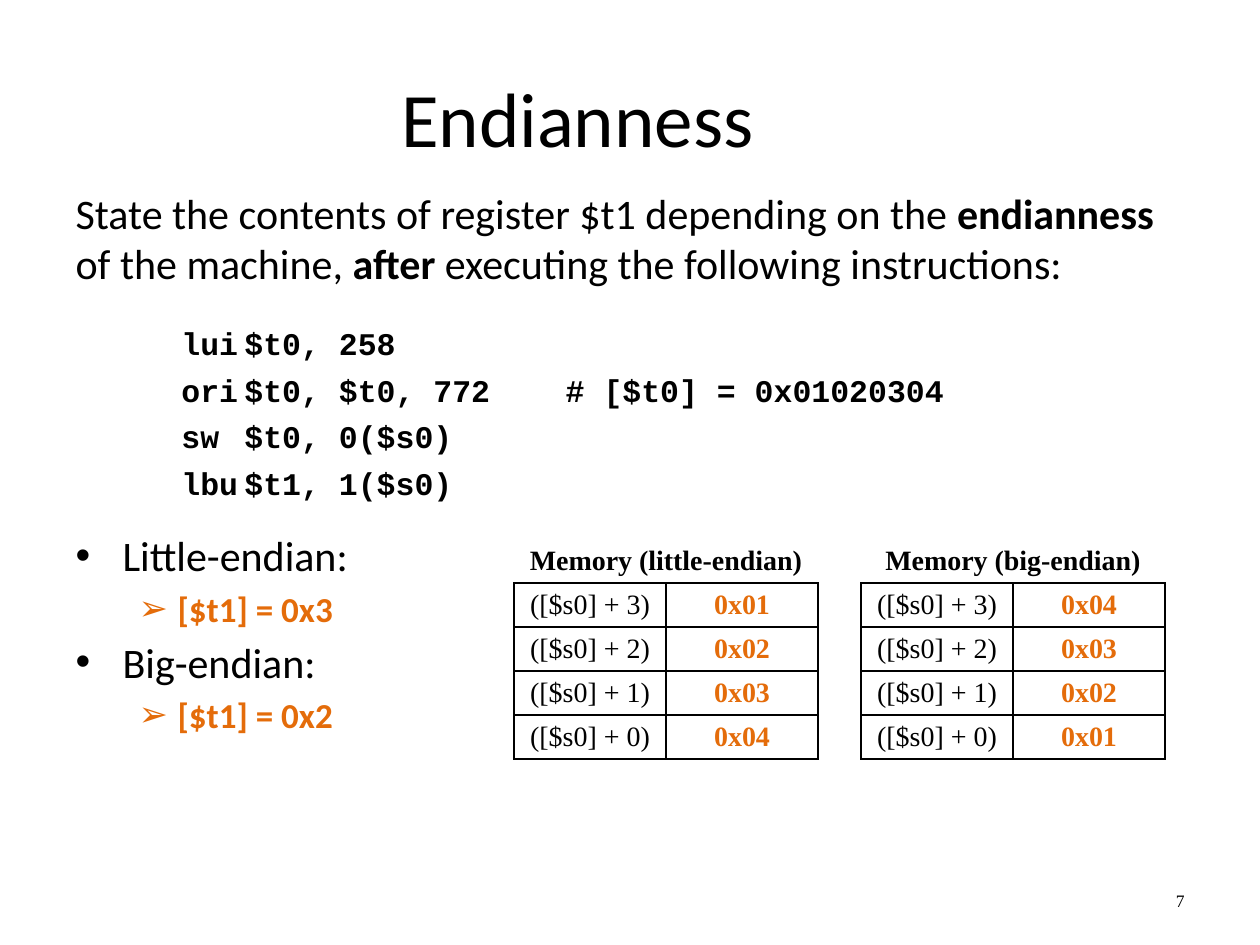
from dataclasses import dataclass

from lxml import etree
from pptx import Presentation
from pptx.dml.color import RGBColor
from pptx.enum.text import MSO_ANCHOR, MSO_AUTO_SIZE, PP_ALIGN
from pptx.oxml.ns import qn
from pptx.util import Emu, Pt

CENTER, LEFT, RIGHT = PP_ALIGN.CENTER, PP_ALIGN.LEFT, PP_ALIGN.RIGHT
MIDDLE, TOP = MSO_ANCHOR.MIDDLE, MSO_ANCHOR.TOP
NO_AUTOFIT = MSO_AUTO_SIZE.NONE

EMU_PER_PX = 914400 / 126
BLACK, WHITE, ORANGE = "000000", "FFFFFF", "E46C0A"
SANS, SERIF, MONO = "Calibri", "Times New Roman", "Courier New"

ROW_HEIGHT, COLUMN_WIDTH = 44, 152
MEMORY_TOP = 539
BORDER_SIDES = ("L", "R", "T", "B")


@dataclass(frozen=True)
class MemoryMap:
    title: str
    left: int
    values: tuple[str, ...]


@dataclass(frozen=True)
class Answer:
    machine: str
    register: str
    space_before: float


MEMORY_MAPS = (
    MemoryMap("Memory (little-endian)", 514, ("0x01", "0x02", "0x03", "0x04")),
    MemoryMap("Memory (big-endian)", 861, ("0x04", "0x03", "0x02", "0x01")),
)
ANSWERS = (
    Answer("Little-endian:", "[$t1] = 0x3", 138),
    Answer("Big-endian:", "[$t1] = 0x2", 4),
)
QUESTION = (
    ("State the contents of register $t1 depending on the ", False),
    ("endianness", True),
    (" of the machine, ", False),
    ("after", True),
    (" executing the following instructions:", False),
)
INSTRUCTIONS = (
    "lui\t$t0, 258",
    "ori\t$t0, $t0, 772    # [$t0] = 0x01020304",
    "sw\t$t0, 0($s0)",
    "lbu\t$t1, 1($s0)",
)


def px(length: int) -> Emu:
    return Emu(round(length * EMU_PER_PX))


def rgb(value: str) -> RGBColor:
    return RGBColor.from_string(value)


def write(paragraph, text: str, *, size: int = 24, font: str = SANS,
          color: str = BLACK, bold: bool = False, align=LEFT,
          space_before: float = 0) -> None:
    """Append one formatted run and set the format of its paragraph."""
    paragraph.alignment = align
    paragraph.space_before = Pt(space_before)
    run = paragraph.add_run()
    run.text = text
    run.font.size = Pt(size)
    run.font.name = font
    run.font.bold = bold
    run.font.color.rgb = rgb(color)


def set_bullet(paragraph, mark: str = "", margin: int = 0, hanging: int = 0) -> None:
    """Give the paragraph a bullet mark, or none when the mark is empty."""
    properties = paragraph._p.get_or_add_pPr()
    properties.set("marL", str(px(margin)))
    properties.set("indent", str(-px(hanging)))
    if mark:
        etree.SubElement(properties, qn("a:buChar")).set("char", mark)
    else:
        etree.SubElement(properties, qn("a:buNone"))


def place(shape, left: int, top: int, width: int, height: int, anchor=TOP):
    """Move a text shape and return its text frame, ready to fill."""
    shape.left, shape.top = px(left), px(top)
    shape.width, shape.height = px(width), px(height)
    frame = shape.text_frame
    frame.word_wrap = True
    frame.auto_size = NO_AUTOFIT
    frame.vertical_anchor = anchor
    return frame


def add_text_box(slide, left: int, top: int, width: int, height: int, anchor=TOP):
    box = slide.shapes.add_textbox(0, 0, 0, 0)
    return place(box, left, top, width, height, anchor)


def set_borders(cell, visible: tuple[str, ...]) -> None:
    properties = cell._tc.get_or_add_tcPr()
    for index, side in enumerate(BORDER_SIDES):
        line = etree.Element(qn(f"a:ln{side}"), w=str(Pt(1)))
        if side in visible:
            fill = etree.SubElement(line, qn("a:solidFill"))
            etree.SubElement(fill, qn("a:srgbClr")).set("val", BLACK)
        else:
            etree.SubElement(line, qn("a:noFill"))
        properties.insert(index, line)


def fill_cell(cell, text: str, *, color: str = BLACK, bold: bool = False,
              borders: tuple[str, ...] = BORDER_SIDES) -> None:
    cell.fill.solid()
    cell.fill.fore_color.rgb = rgb(WHITE)
    cell.vertical_anchor = MIDDLE
    cell.margin_top = cell.margin_bottom = 0
    cell.margin_left = cell.margin_right = px(6)
    set_borders(cell, borders)
    if text:
        write(cell.text_frame.paragraphs[0], text, size=16, font=SERIF,
              color=color, bold=bold, align=CENTER)


def add_memory_map(slide, memory: MemoryMap) -> None:
    row_count = len(memory.values) + 1
    table = slide.shapes.add_table(
        row_count, 2, px(memory.left), px(MEMORY_TOP),
        px(2 * COLUMN_WIDTH), px(row_count * ROW_HEIGHT)).table
    table.first_row = table.horz_banding = False
    for column in table.columns:
        column.width = px(COLUMN_WIDTH)
    for row in table.rows:
        row.height = px(ROW_HEIGHT)

    table.cell(0, 0).merge(table.cell(0, 1))
    fill_cell(table.cell(0, 0), memory.title, bold=True, borders=("B",))
    fill_cell(table.cell(0, 1), "", borders=("B",))
    for row, value in enumerate(memory.values, start=1):
        offset = len(memory.values) - row
        fill_cell(table.cell(row, 0), f"([$s0] + {offset})")
        fill_cell(table.cell(row, 1), value, color=ORANGE, bold=True)


def fill_body(frame) -> None:
    question = frame.paragraphs[0]
    set_bullet(question)
    for text, bold in QUESTION:
        write(question, text, bold=bold)
    for answer in ANSWERS:
        machine = frame.add_paragraph()
        set_bullet(machine, "•", margin=47, hanging=47)
        write(machine, answer.machine, space_before=answer.space_before)
        register = frame.add_paragraph()
        register.level = 1
        set_bullet(register, "➢", margin=102, hanging=39)
        write(register, answer.register, size=20, color=ORANGE, bold=True,
              space_before=4)


def fill_code(frame) -> None:
    for index, instruction in enumerate(INSTRUCTIONS):
        line = frame.add_paragraph() if index else frame.paragraphs[0]
        write(line, instruction, size=18, font=MONO, bold=True,
              space_before=5 if index else 0)


def main() -> None:
    presentation = Presentation()
    presentation.slide_width, presentation.slide_height = px(1260), px(945)
    slide = presentation.slides.add_slide(presentation.slide_layouts[1])

    title = place(slide.shapes.title, 63, 38, 1029, 158, MIDDLE)
    write(title.paragraphs[0], "Endianness", size=44, align=CENTER)
    fill_body(place(slide.placeholders[1], 63, 181, 1134, 651))

    page_number = add_text_box(slide, 1050, 876, 147, 50, MIDDLE)
    write(page_number.paragraphs[0], "7", size=10, font=SERIF, align=RIGHT)
    fill_code(add_text_box(slide, 169, 318, 924, 179))
    for memory in MEMORY_MAPS:
        add_memory_map(slide, memory)

    presentation.save("out.pptx")


if __name__ == "__main__":
    main()
